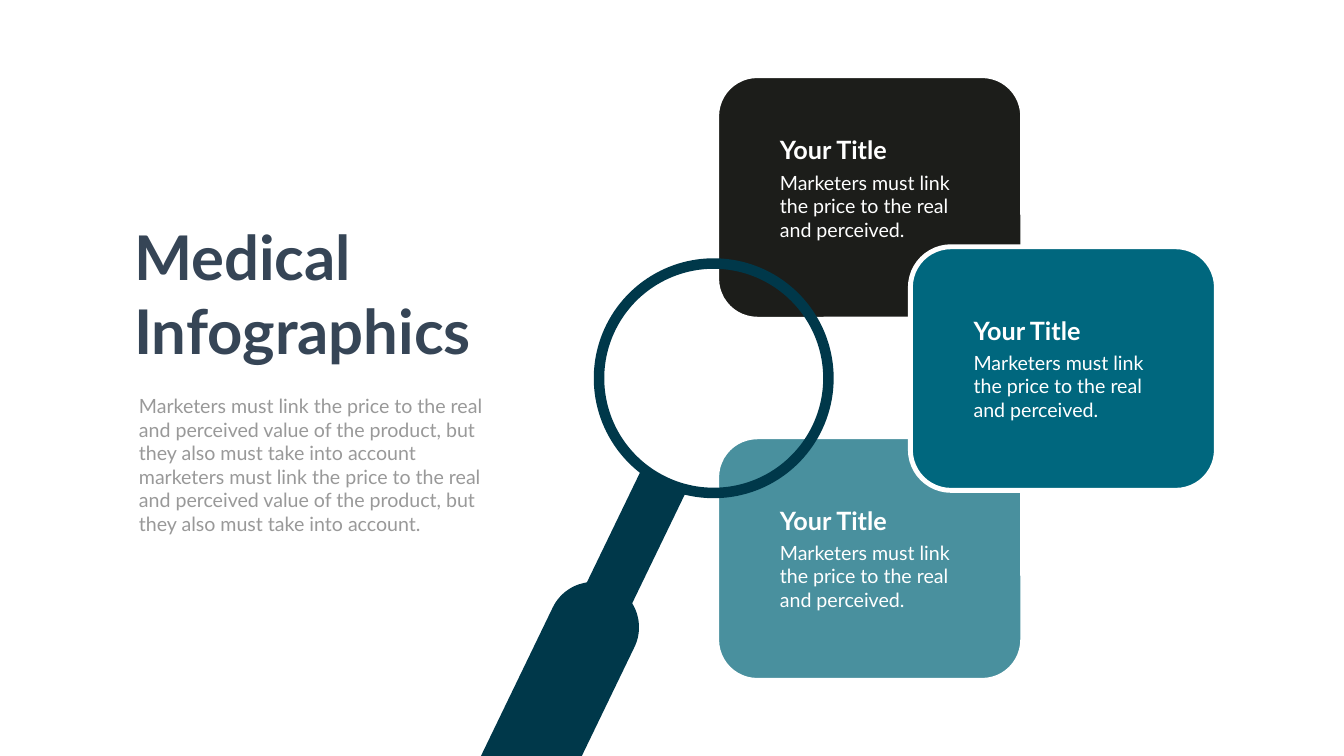
from dataclasses import dataclass

from lxml.etree import SubElement
from pptx import Presentation
from pptx.dml.color import RGBColor
from pptx.enum.shapes import MSO_SHAPE
from pptx.enum.text import MSO_ANCHOR, MSO_AUTO_SIZE, PP_ALIGN
from pptx.oxml.ns import qn
from pptx.shapes.autoshape import Shape
from pptx.slide import Slide
from pptx.util import Pt

PX = 9525
FONT = "Lato"
WHITE = RGBColor(0xFF, 0xFF, 0xFF)
BLACK = RGBColor(0x1C, 0x1D, 0x1A)
SEA = RGBColor(0x49, 0x90, 0x9E)
TEAL = RGBColor(0x00, 0x67, 0x7E)
NAVY = RGBColor(0x00, 0x38, 0x4A)
SLATE = RGBColor(0x36, 0x45, 0x56)
GREY = RGBColor(0x99, 0x99, 0x99)

CARD_W, CARD_H = 583, 464
TEXT_DX, TEXT_W = 111, 360
TITLE_H, BODY_H = 68, 145
TILT = 25.8
LENS_X, LENS_Y, LENS_D = 1359, 720, 437
CARD_TITLE = "Your Title"
CARD_BODY = "Marketers must link the price to the real and perceived."
INTRO = (
    "Marketers must link the price to the real and perceived value of the "
    "product, but they also must take into account marketers must link the "
    "price to the real and perceived value of the product, but they also "
    "must take into account."
)


@dataclass(frozen=True)
class Card:
    x: int
    y: int
    text_dy: int
    color: RGBColor


@dataclass(frozen=True)
class HandlePart:
    kind: MSO_SHAPE
    cx: int
    cy: int
    w: int
    h: int


CARDS = [
    Card(1365, 144, 108, BLACK),
    Card(1365, 832, 125, SEA),
    Card(1734, 470, 125, TEAL),
]
HANDLE = [
    HandlePart(MSO_SHAPE.RECTANGLE, 1210, 1027, 95, 248),
    HandlePart(MSO_SHAPE.ROUNDED_RECTANGLE, 1002, 1460, 173, 762),
]


def place(sp: Shape, x: int, y: int, w: int, h: int) -> None:
    sp.left, sp.top, sp.width, sp.height = (v * PX for v in (x, y, w, h))


def write(sp: Shape, text: str, size: int, color: RGBColor, bold: bool = False) -> None:
    tf = sp.text_frame
    tf.word_wrap = True
    tf.auto_size = MSO_AUTO_SIZE.NONE
    tf.vertical_anchor = MSO_ANCHOR.TOP
    p = tf.paragraphs[0]
    p.alignment = PP_ALIGN.LEFT
    p.space_before = Pt(0)
    r = p.add_run()
    r.text = text
    r.font.name = FONT
    r.font.size = Pt(size)
    r.font.bold = bold
    r.font.color.rgb = color


def add_text(s: Slide, x: int, y: int, h: int, text: str, size: int, bold: bool) -> None:
    sp = s.shapes.add_textbox(x * PX, y * PX, TEXT_W * PX, h * PX)
    write(sp, text, size, WHITE, bold)


def add_preset(s: Slide, kind: MSO_SHAPE, x: int, y: int, w: int, h: int) -> Shape:
    sp = s.shapes.add_shape(kind, x * PX, y * PX, w * PX, h * PX)
    sp.shadow.inherit = False
    return sp


def draw_card(s: Slide, card: Card) -> None:
    sp = add_preset(s, MSO_SHAPE.ROUNDED_RECTANGLE, card.x, card.y, CARD_W, CARD_H)
    sp.fill.solid()
    sp.fill.fore_color.rgb = card.color
    sp.line.color.rgb = WHITE
    sp.line.width = Pt(7)


def draw_card_text(s: Slide, card: Card) -> None:
    x, y = card.x + TEXT_DX, card.y + card.text_dy
    add_text(s, x, y, TITLE_H, CARD_TITLE, 36, True)
    add_text(s, x, y + TITLE_H, BODY_H, CARD_BODY, 28, False)


def draw_lens(s: Slide) -> None:
    sp = add_preset(s, MSO_SHAPE.OVAL, LENS_X - LENS_D // 2, LENS_Y - LENS_D // 2, LENS_D, LENS_D)
    sp.fill.background()
    sp.line.color.rgb = NAVY
    sp.line.width = Pt(15)


def draw_handle_part(s: Slide, part: HandlePart) -> None:
    sp = add_preset(s, part.kind, part.cx - part.w // 2, part.cy - part.h // 2, part.w, part.h)
    if part.kind == MSO_SHAPE.ROUNDED_RECTANGLE:
        sp.adjustments[0] = 0.5
    sp.rotation = TILT
    sp.fill.solid()
    sp.fill.fore_color.rgb = NAVY
    sp.line.fill.background()


def draw_heading(s: Slide) -> None:
    title, body = s.shapes.title, s.placeholders[1]
    place(title, 246, 413, 749, 294)
    write(title, "Medical Infographics", 88, SLATE, True)
    place(body, 255, 746, 704, 281)
    pPr = body.text_frame.paragraphs[0]._p.get_or_add_pPr()
    pPr.set("marL", "0")
    pPr.set("indent", "0")
    SubElement(pPr, qn("a:buNone"))
    write(body, INTRO, 28, GREY)


def main() -> None:
    prs = Presentation()
    prs.slide_width, prs.slide_height = 2560 * PX, 1440 * PX
    s = prs.slides.add_slide(prs.slide_layouts[1])
    draw_heading(s)
    for card in CARDS:
        draw_card(s, card)
    draw_lens(s)
    for part in HANDLE:
        draw_handle_part(s, part)
    for card in CARDS:
        draw_card_text(s, card)
    prs.save("out.pptx")


if __name__ == "__main__":
    main()
